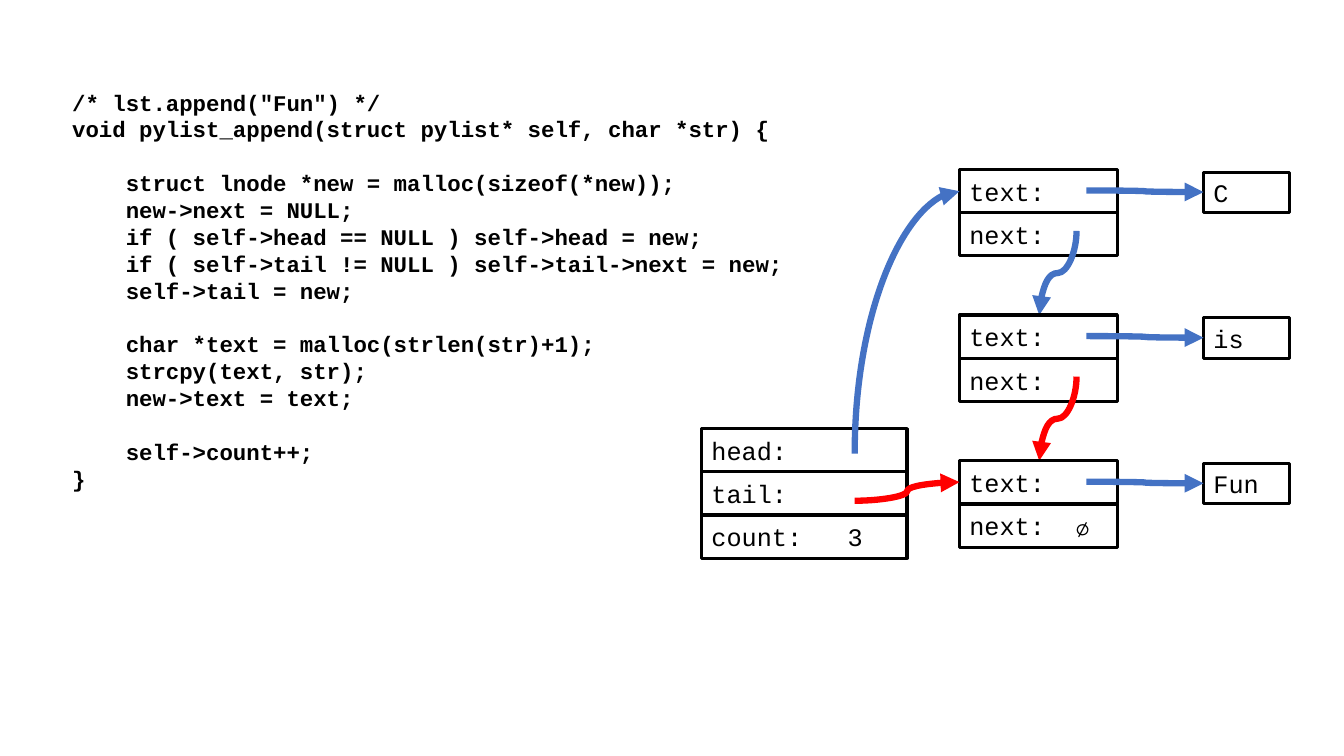
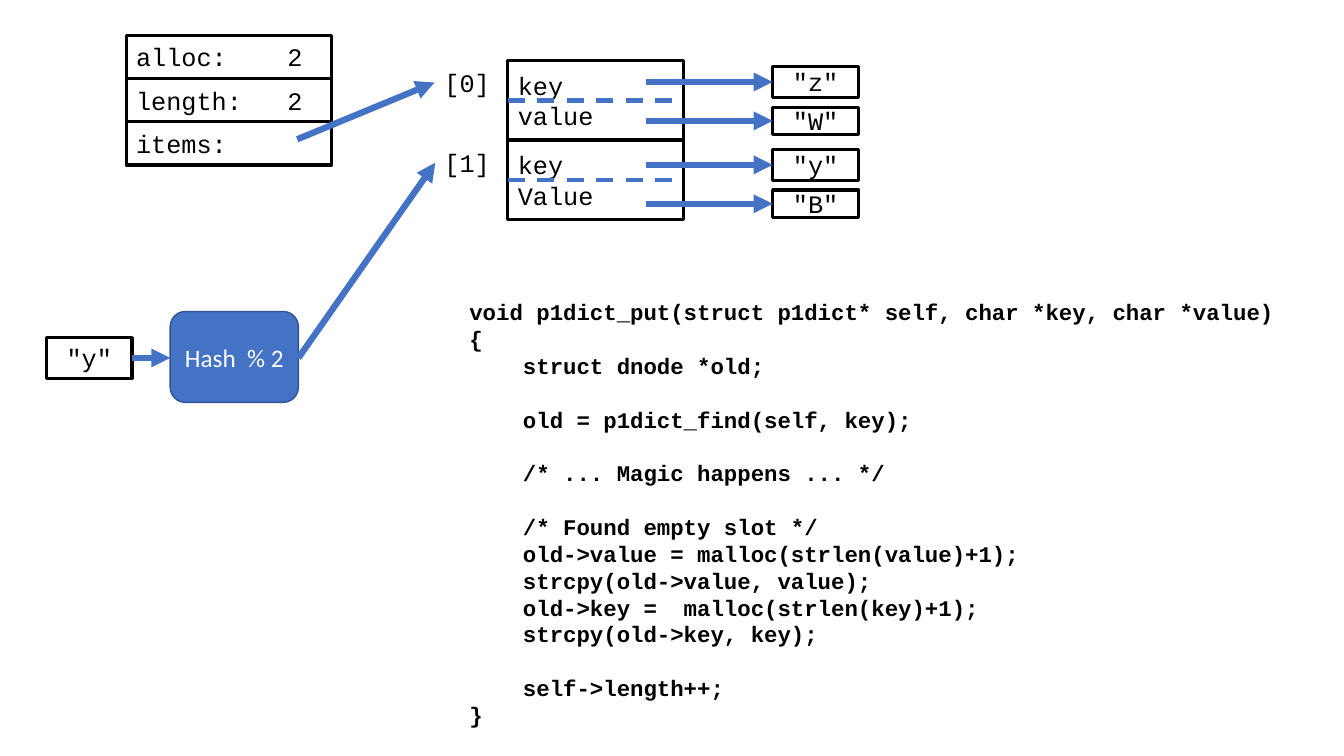
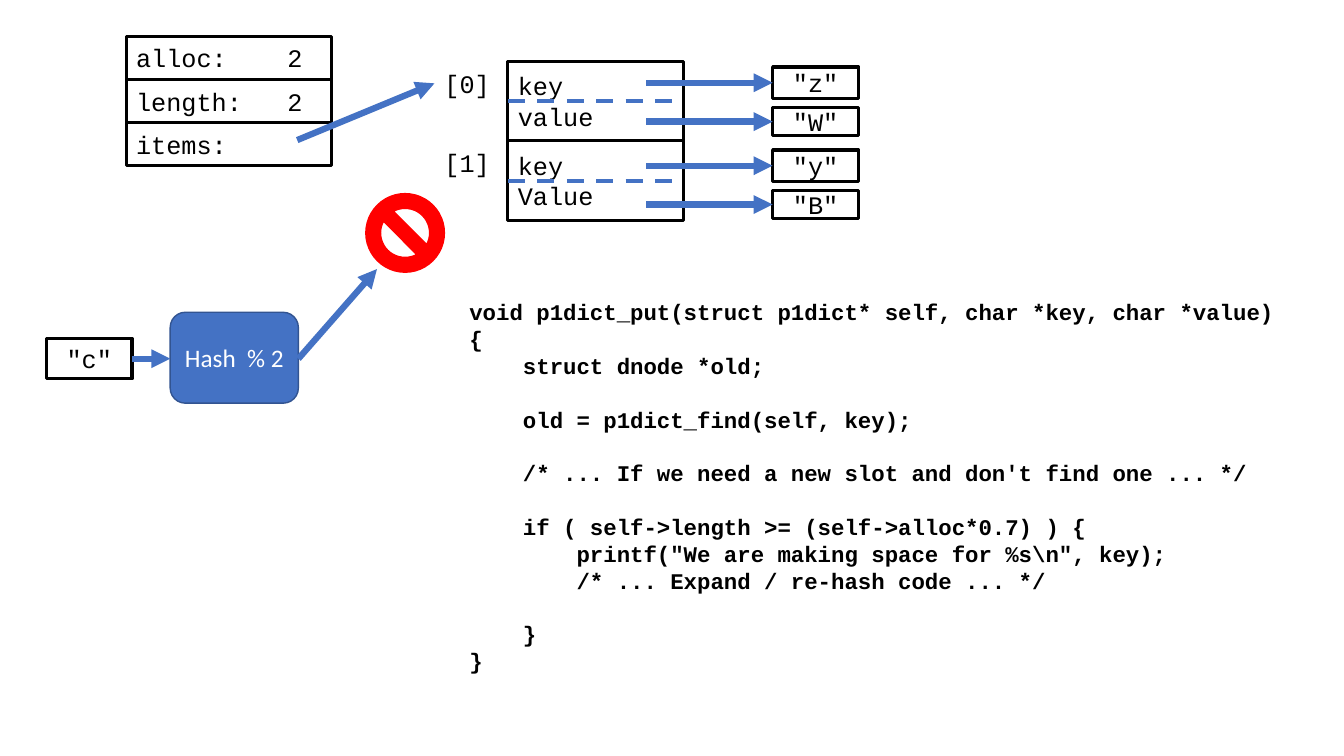
from lxml.etree import SubElement
from pptx import Presentation
from pptx.dml.color import RGBColor
from pptx.enum.dml import MSO_LINE
from pptx.enum.shapes import MSO_CONNECTOR, MSO_SHAPE
from pptx.enum.text import MSO_ANCHOR, PP_ALIGN
from pptx.oxml.ns import qn
from pptx.util import Cm, Pt

COLORS = {"ink": "000000", "blue": "4472C4", "edge": "325491", "red": "FF0000", "white": "FFFFFF"}
MONO, SANS = "Courier New", "Calibri"
CODE_LINE = 19.2
ROW_H = 1.09
ENTRY_H = 2.01

APPEND_CODE = '''/* lst.append("Fun") */
void pylist_append(struct pylist* self, char *str) {

    struct lnode *new = malloc(sizeof(*new));
    new->next = NULL;
    if ( self->head == NULL ) self->head = new;
    if ( self->tail != NULL ) self->tail->next = new;
    self->tail = new;

    char *text = malloc(strlen(str)+1);
    strcpy(text, str);
    new->text = text;

    self->count++;
}'''

PUT_START = '''void p1dict_put(struct p1dict* self, char *key, char *value)
{
    struct dnode *old;

    old = p1dict_find(self, key);

'''

FOUND_CODE = PUT_START + '''    /* ... Magic happens ... */

    /* Found empty slot */
    old->value = malloc(strlen(value)+1);
    strcpy(old->value, value);
    old->key =  malloc(strlen(key)+1);
    strcpy(old->key, key);

    self->length++;
}'''

EXPAND_CODE = PUT_START + r'''    /* ... If we need a new slot and don't find one ... */

    if ( self->length >= (self->alloc*0.7) ) {
        printf("We are making space for %s\n", key);
        /* ... Expand / re-hash code ... */

    }
}'''


def rgb(name):
    return RGBColor.from_string(COLORS[name])


def add_run(p, text, size=18, color="ink", font=MONO, bold=False):
    r = p.add_run()
    r.text = text
    r.font.name, r.font.size, r.font.bold = font, Pt(size), bold
    r.font.color.rgb = rgb(color)


def add_tab_stop(p, chars):
    tabs = SubElement(p._p.get_or_add_pPr(), qn("a:tabLst"))
    SubElement(tabs, qn("a:tab"), pos=str(Pt(10.8 * chars)), algn="l")


def add_block(s, x, y, w, h, kind=MSO_SHAPE.RECTANGLE, fill=None, line="ink", width=2.25):
    sp = s.shapes.add_shape(kind, Cm(x), Cm(y), Cm(w), Cm(h))
    sp.shadow.inherit = False
    if fill:
        sp.fill.solid()
        sp.fill.fore_color.rgb = rgb(fill)
    else:
        sp.fill.background()
    sp.line.color.rgb = rgb(line)
    sp.line.width = Pt(width)
    return sp


def add_cell(s, x, y, w, h, lines, align=PP_ALIGN.LEFT, tab=None):
    tf = add_block(s, x, y, w, h).text_frame
    tf.word_wrap = True
    tf.vertical_anchor = MSO_ANCHOR.MIDDLE
    for i, text in enumerate(lines.split("\n")):
        p = tf.add_paragraph() if i else tf.paragraphs[0]
        p.alignment = align
        if tab:
            add_tab_stop(p, tab)
        add_run(p, text)


def add_record(s, x, y, w, rows, tab=None):
    for i, text in enumerate(rows):
        add_cell(s, x, y + i * ROW_H, w, ROW_H, text, tab=tab)


def add_textbox(s, x, y, w, h):
    tf = s.shapes.add_textbox(Cm(x), Cm(y), Cm(w), Cm(h)).text_frame
    tf.word_wrap = True
    return tf


def add_code(s, x, y, w, h, code):
    tf = add_textbox(s, x, y, w, h)
    p, gap = tf.paragraphs[0], 0
    for i, text in enumerate(code.split("\n")):
        if not text:
            gap += CODE_LINE
            continue
        if i:
            p = tf.add_paragraph()
            p.space_before = Pt(gap)
        add_run(p, text, size=16, bold=True)
        gap = 0


def add_line(s, start, end, kind=MSO_CONNECTOR.STRAIGHT, color="blue", width=4.5, arrow=True):
    c = s.shapes.add_connector(kind, *(Cm(v) for v in (*start, *end)))
    c.line.color.rgb = rgb(color)
    c.line.width = Pt(width)
    if arrow:
        SubElement(c.line._get_or_add_ln(), qn("a:tailEnd"), type="triangle")
    SubElement(c._element.spPr, qn("a:effectLst"))
    return c


def add_curve(s, start, end, color="blue"):
    return add_line(s, start, end, MSO_CONNECTOR.CURVE, color)


def add_vertical_curve(s, start, end, color="blue", preset="curvedConnector3"):
    cx, cy = (start[0] + end[0]) / 2, (start[1] + end[1]) / 2
    turned = [(cx + y - cy, cy - x + cx) for x, y in (start, end)]
    spPr = add_curve(s, *turned, color)._element.spPr
    spPr.find(qn("a:xfrm")).set("rot", "5400000")
    spPr.find(qn("a:prstGeom")).set("prst", preset)


def add_linked_list(s, x, y, words, step=3.67):
    last = len(words) - 1
    for i, word in enumerate(words):
        top = y + i * step
        add_record(s, x, top, 3.98, ["text:", "next:\t∅" if i == last else "next:"], tab=7)
        add_cell(s, x + 6.15, top + 0.07, 2.17, 1.02, word)
        add_curve(s, (x + 3.2, top + 0.53), (x + 6.15, top + 0.57))
        if i < last:
            add_vertical_curve(s, (x + 2.95, top + 1.55), (x + 2.01, top + step),
                               "red" if i == last - 1 else "blue")


def add_list_header(s, x, y, first, last):
    add_record(s, x, y, 5.18, ["head:", "tail:", "count:\t3"], tab=9)
    add_vertical_curve(s, (x + 3.86, y + 0.63), first, preset="curvedConnector2")
    add_curve(s, (x + 3.86, y + 1.82), last, "red")


def add_entries(s, x, y, entries):
    for i, (labels, values) in enumerate(entries):
        top = y + i * ENTRY_H
        add_cell(s, x, top, 4.42, ENTRY_H, labels)
        add_run(add_textbox(s, x - 1.85, top + 0.05, 2.82, 1.02).paragraphs[0], f"[{i}]")
        dash = add_line(s, (x, top + 1.01), (x + 4.4, top + 1.01), width=3, arrow=False)
        dash.line.dash_style = MSO_LINE.DASH
        for text, offset, height in zip(values, (0.15, 1.18), (0.79, 0.69)):
            box_top = y + i * (ENTRY_H + 0.08) + offset
            middle = box_top + height / 2
            add_cell(s, x + 6.67, box_top, 2.17, height, text, PP_ALIGN.CENTER)
            add_line(s, (x + 3.49, middle), (x + 6.67, middle))


def add_hash(s, x, y, key, target):
    add_cell(s, x, y + 0.66, 2.16, 1.02, key, PP_ALIGN.CENTER)
    sp = add_block(s, x + 3.12, y, 3.23, 2.29, MSO_SHAPE.ROUNDED_RECTANGLE, "blue", "edge", 1)
    tf = sp.text_frame
    tf.vertical_anchor = MSO_ANCHOR.MIDDLE
    p = tf.paragraphs[0]
    p.alignment = PP_ALIGN.CENTER
    add_run(p, "Hash  % 2", color="white", font=SANS)
    add_line(s, (x + 2.16, y + 1.17), (x + 3.12, y + 1.17))
    add_line(s, (x + 6.35, y + 1.17), target)


def new_slide(prs):
    return prs.slides.add_slide(prs.slide_layouts[6])


def list_slide(prs):
    s = new_slide(prs)
    add_code(s, 1.57, 2.11, 18.97, 10.52, APPEND_CODE)
    add_linked_list(s, 24.18, 4.27, ["C", "is", "Fun"])
    add_list_header(s, 17.68, 10.8, (24.18, 4.82), (24.18, 12.15))


def dict_slide(prs, key, target, code, code_h, y=0):
    s = new_slide(prs)
    add_record(s, 3.18, 0.89 + y, 5.18, ["alloc:\t2", "length:\t2", "items:"], tab=10)
    add_entries(s, 12.8, 1.52 + y, [("key\nvalue", ('"z"', '"W"')), ("key\nValue", ('"y"', '"B"'))])
    add_line(s, (7.49, 3.51 + y), (10.95, 2.08 + y))
    add_hash(s, 1.17, 7.85 + y, key, target)
    add_code(s, 11.58, 7.39, 21.62, code_h, code)
    return s


def main():
    prs = Presentation()
    prs.slide_width, prs.slide_height = Cm(33.87), Cm(19.05)
    list_slide(prs)
    dict_slide(prs, '"y"', (10.97, 4.1), FOUND_CODE, 11.89)
    s = dict_slide(prs, '"c"', (9.5, 6.78), EXPAND_CODE, 10.52, y=0.02)
    add_block(s, 9.22, 4.88, 1.98, 1.98, MSO_SHAPE.NO_SYMBOL, "red", "red", 1)
    prs.save("out.pptx")


if __name__ == "__main__":
    main()
